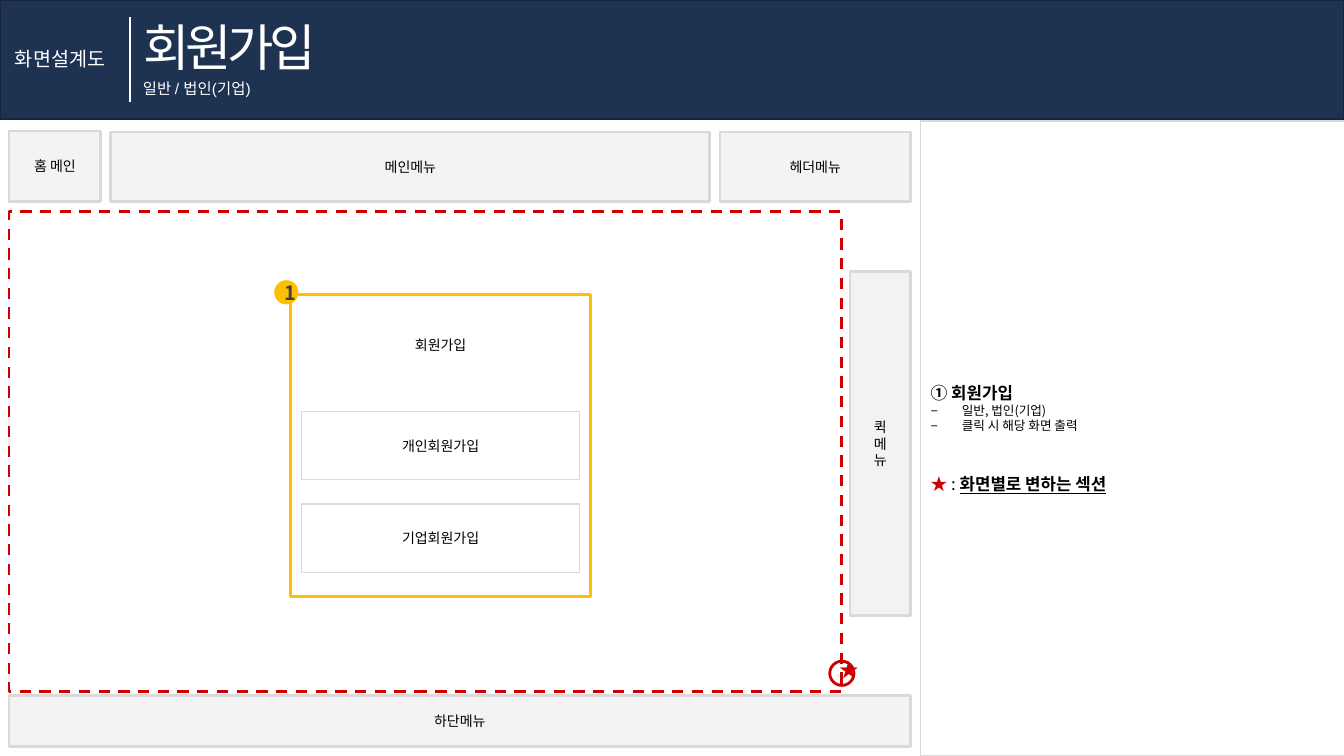
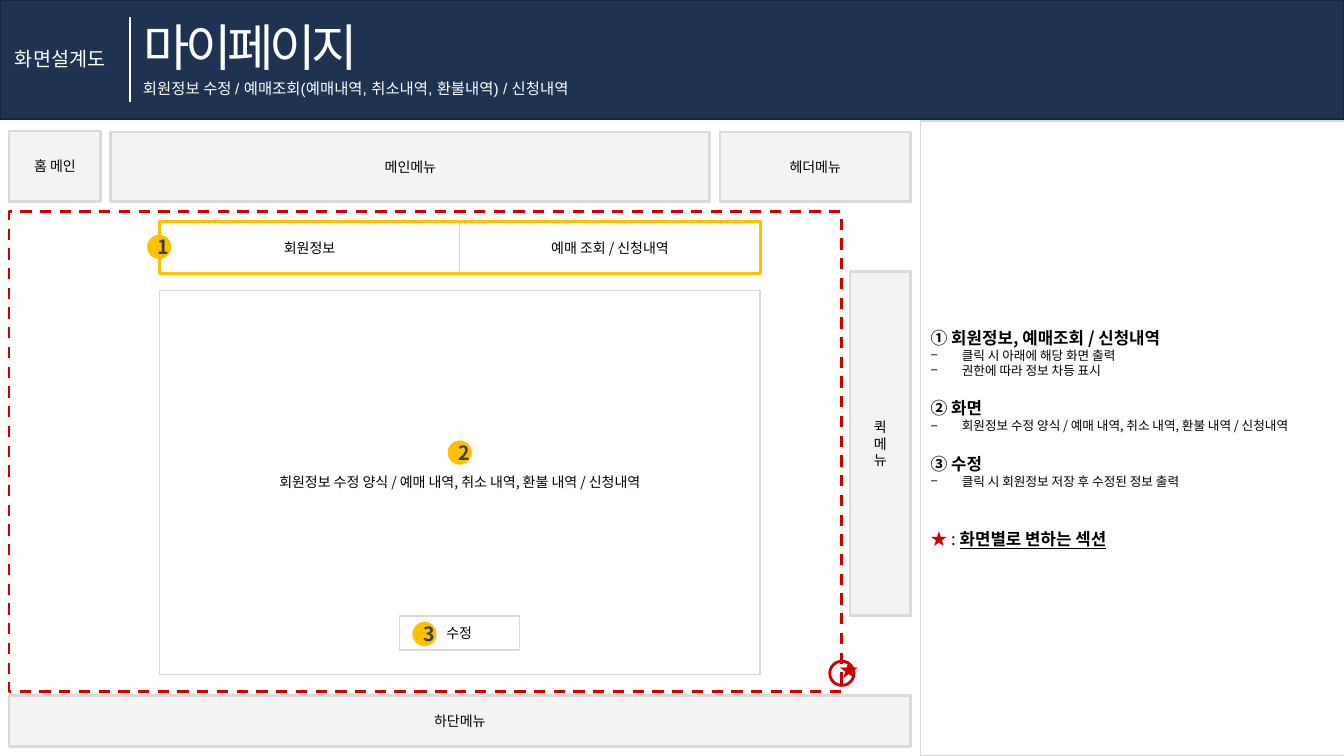
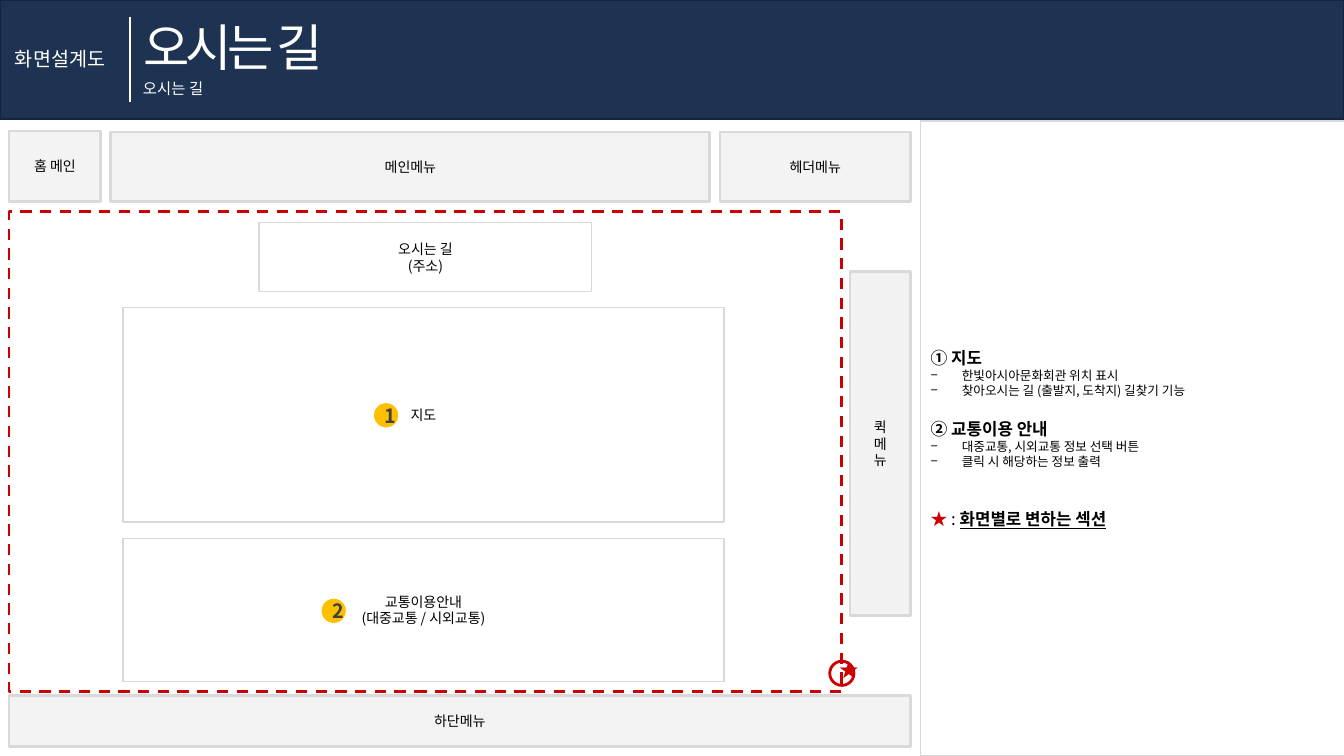
from dataclasses import dataclass

from lxml import etree
from pptx import Presentation
from pptx.dml.color import RGBColor
from pptx.enum.dml import MSO_LINE_DASH_STYLE as DASH
from pptx.enum.shapes import MSO_CONNECTOR as CONN, MSO_SHAPE as SHAPE
from pptx.enum.text import MSO_ANCHOR as ANCHOR, MSO_AUTO_SIZE as AUTOSIZE, PP_ALIGN as ALIGN
from pptx.oxml.ns import qn
from pptx.util import Inches, Pt


@dataclass(frozen=True)
class Theme:
    font: str = "Noto Sans CJK KR"
    latin: str = "Arial"
    navy: str = "1E3252"
    navy_edge: str = "16253D"
    white: str = "FFFFFF"
    black: str = "000000"
    dark: str = "404040"
    gray: str = "D9D9D9"
    mid_gray: str = "BFBFBF"
    red: str = "CC0000"
    amber: str = "FFC000"
    title: int = 36
    mark: int = 14
    heading: int = 12
    subtitle: int = 11
    label: int = 10
    bullet: int = 9
    leading: float = 1.2
    indent: float = 0.31


T = Theme()


class Wireframe:
    """Holds the presentation, its style and the slide being drawn."""

    def __init__(self):
        self.prs = Presentation()
        self.prs.slide_width, self.prs.slide_height = Inches(13.33), Inches(7.5)
        self.s = None

    def run(self, p, text, size, color=T.black, bold=False, latin=T.font):
        r = p.add_run()
        r.text = text
        f = r.font
        f.size, f.bold, f.name = Pt(size), bold, latin
        f.color.rgb = RGBColor.from_string(color)
        etree.SubElement(r._r.get_or_add_rPr(), qn("a:ea")).set("typeface", T.font)
        return r

    def paragraph(self, tf, size, first=False, align=ALIGN.LEFT, before=0):
        p = tf.paragraphs[0] if first else tf.add_paragraph()
        p.alignment = align
        p.line_spacing = Pt(round(size * T.leading, 1))
        p.space_before, p.space_after = Pt(before), Pt(0)
        return p

    def lines(self, tf, text, size, align=ALIGN.LEFT, **style):
        """Put each line of text in one paragraph and return the last run."""
        tf.word_wrap = True
        for i, line in enumerate(text.split("\n")):
            p = self.paragraph(tf, size, i == 0, align)
            r = self.run(p, line, size, **style)
        return r

    def paint(self, sp, fill=None, line=None, width=1, alpha=None):
        if fill:
            sp.fill.solid()
            sp.fill.fore_color.rgb = RGBColor.from_string(fill)
            if alpha:
                clr = sp.element.spPr.find(qn("a:solidFill"))[0]
                etree.SubElement(clr, qn("a:alpha")).set("val", str(alpha * 1000))
        else:
            sp.fill.background()
        if line:
            sp.line.color.rgb = RGBColor.from_string(line)
            sp.line.width = Pt(width)
        else:
            sp.line.fill.background()

    def shape(self, box, kind=SHAPE.RECTANGLE, parent=None, **look):
        sp = (parent or self.s).shapes.add_shape(kind, *map(Inches, box))
        sp.shadow.inherit = False
        self.paint(sp, **look)
        return sp

    def box(self, at, text, fill=T.white, width=1, alpha=None):
        sp = self.shape(at, fill=fill, line=T.gray, width=width, alpha=alpha)
        sp.text_frame.vertical_anchor = ANCHOR.MIDDLE
        self.lines(sp.text_frame, text, T.label, ALIGN.CENTER)
        return sp

    def menu(self, at, text, fill=T.gray, alpha=30):
        self.box(at, text, fill, 2, alpha)

    def frame(self, at):
        self.shape(at, line=T.amber, width=2)

    def badge(self, x, y, number):
        sp = self.shape((x, y, 0.24, 0.24), SHAPE.OVAL, fill=T.amber)
        sp.text_frame.vertical_anchor = ANCHOR.MIDDLE
        self.lines(sp.text_frame, str(number), T.mark, ALIGN.CENTER, color=T.dark, bold=True)

    def text(self, at, text, size, **style):
        tf = self.s.shapes.add_textbox(*map(Inches, at)).text_frame
        self.lines(tf, text, size, **style)

    def place(self, sp, at, anchor):
        """Move a placeholder and fix how its text sits."""
        sp.left, sp.top, sp.width, sp.height = map(Inches, at)
        tf = sp.text_frame
        tf.auto_size, tf.vertical_anchor, tf.word_wrap = AUTOSIZE.NONE, anchor, True
        return tf

    def start(self, title, subtitle, subtitle_width):
        """Begin a slide with its header band."""
        self.s = self.prs.slides.add_slide(self.prs.slide_layouts[1])
        band = self.shape((0, 0, 13.33, 1.18), fill=T.navy, line=T.navy_edge)
        head = self.s.shapes.title
        head.element.addprevious(band.element)
        tf = self.place(head, (1.32, 0.11, 3, 0.71), ANCHOR.TOP)
        r = self.lines(tf, title, T.title, color=T.white)
        r._r.get_or_add_rPr().set("spc", "-300")
        self.text((0.05, 0.42, 1.18, 0.34), "화면설계도", T.mark, color=T.white)
        rule = self.s.shapes.add_connector(CONN.STRAIGHT, *map(Inches, (1.29, 0.17, 1.29, 1.01)))
        rule.line.color.rgb = RGBColor.from_string(T.white)
        rule.line.width = Pt(1.5)
        etree.SubElement(rule.element.spPr, qn("a:effectLst"))
        self.text((1.32, 0.74, subtitle_width, 0.29), subtitle, T.subtitle,
                  color=T.white, latin=T.latin)

    def bullet(self, p, char=None):
        pPr = p._p.get_or_add_pPr()
        indent = Inches(T.indent) if char else 0
        pPr.set("marL", str(indent))
        pPr.set("indent", str(-indent))
        if char:
            etree.SubElement(pPr, qn("a:buChar")).set("char", char)
        else:
            etree.SubElement(pPr, qn("a:buNone"))

    def notes(self, sections):
        """Fill the side panel with numbered sections and the star legend."""
        panel = self.s.placeholders[1]
        self.paint(panel, fill=T.white, line=T.gray)
        tf = self.place(panel, (9.13, 1.2, 4.22, 6.3), ANCHOR.MIDDLE)
        gap = T.heading * T.leading
        for i, (heading, items) in enumerate(sections):
            p = self.paragraph(tf, T.heading, i == 0, before=gap if i else 0)
            self.bullet(p)
            self.run(p, heading, T.heading, bold=True)
            for item in items:
                p = self.paragraph(tf, T.bullet)
                self.bullet(p, "−")
                self.run(p, item, T.bullet)
        p = self.paragraph(tf, T.heading, before=2 * gap)
        self.bullet(p)
        self.run(p, "★ ", T.heading, T.red, True)
        self.run(p, ": ", T.heading)
        self.run(p, "화면별로 변하는 섹션", T.heading, bold=True).font.underline = True

    def finish(self):
        """Add the star mark, the site menus and the dashed section."""
        group = self.s.shapes.add_group_shape()
        self.shape((8.23, 6.56, 0.24, 0.24), SHAPE.OVAL, group,
                   fill=T.white, line=T.red, width=2)
        star = group.shapes.add_textbox(*map(Inches, (8.23, 6.48, 0.24, 0.34)))
        self.lines(star.text_frame, "★", T.mark, ALIGN.CENTER, color=T.red)
        self.menu((1.1, 1.31, 5.94, 0.69), "메인메뉴")
        self.menu((0.09, 1.3, 0.91, 0.7), "홈 메인")
        self.menu((8.43, 2.69, 0.6, 3.42), "퀵\n메\n뉴", T.mid_gray, 20)
        section = self.shape((0.09, 2.1, 8.26, 4.76), line=T.red, width=2)
        section.line.dash_style = DASH.DASH
        self.menu((0.09, 6.9, 8.94, 0.51), "하단메뉴")
        self.menu((7.14, 1.31, 1.89, 0.69), "헤더메뉴")


def sign_up(w):
    w.start("회원가입", "일반 / 법인(기업)", 1.3)
    w.notes([("① 회원가입", ["일반, 법인(기업)", "클릭 시 해당 화면 출력"])])
    card = (2.88, 2.92, 2.98, 3)
    tf = w.box(card, "회원가입").text_frame
    tf.vertical_anchor, tf.margin_top = ANCHOR.TOP, Inches(0.42)
    w.frame(card)
    w.badge(2.72, 2.78, 1)
    for i, label in enumerate(["개인회원가입", "기업회원가입"]):
        w.box((2.99, 4.08 + 0.92 * i, 2.76, 0.68), label)
    w.finish()


def my_page(w):
    forms = "회원정보 수정 양식 / 예매 내역, 취소 내역, 환불 내역 / 신청내역"
    w.start("마이페이지", "회원정보 수정 / 예매조회(예매내역, 취소내역, 환불내역) / 신청내역", 4.6)
    w.notes([
        ("① 회원정보, 예매조회 / 신청내역", ["클릭 시 아래에 해당 화면 출력", "권한에 따라 정보 차등 표시"]),
        ("② 화면", [forms]),
        ("③ 수정", ["클릭 시 회원정보 저장 후 수정된 정보 출력"]),
    ])
    for i, tab in enumerate(["회원정보", "예매 조회 / 신청내역"]):
        w.box((1.58 + 2.98 * i, 2.2, 2.98, 0.51), tab)
    w.box((1.58, 2.88, 5.96, 3.81), forms)
    w.box((3.96, 6.11, 1.19, 0.34), "수정")
    w.frame((1.58, 2.2, 5.96, 0.51))
    for x, y, number in [(1.46, 2.33, 1), (4.44, 4.37, 2), (4.09, 6.17, 3)]:
        w.badge(x, y, number)
    w.finish()


def directions(w):
    w.start("오시는 길", "오시는 길", 1.3)
    w.notes([
        ("① 지도", ["한빛아시아문화회관 위치 표시", "찾아오시는 길 (출발지, 도착지) 길찾기 기능"]),
        ("② 교통이용 안내", ["대중교통, 시외교통 정보 선택 버튼", "클릭 시 해당하는 정보 출력"]),
    ])
    w.box((2.57, 2.21, 3.3, 0.68), "오시는 길\n(주소)")
    w.box((1.22, 3.05, 5.96, 2.13), "지도")
    w.box((1.22, 5.34, 5.96, 1.42), "교통이용안내\n(대중교통 / 시외교통)")
    w.badge(3.71, 4, 1)
    w.badge(3.19, 5.94, 2)
    w.finish()


def main():
    w = Wireframe()
    for build in (sign_up, my_page, directions):
        build(w)
    w.prs.save("out.pptx")


if __name__ == "__main__":
    main()
